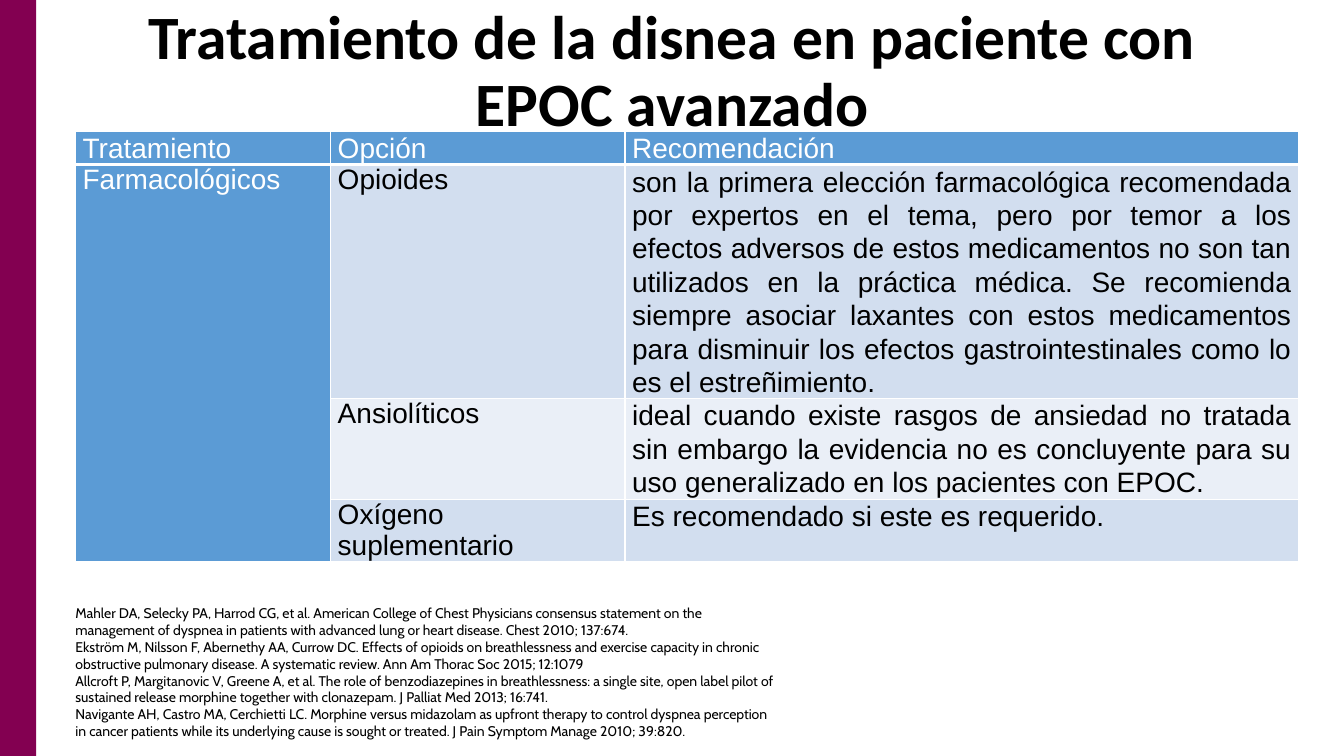
from pptx import Presentation
from pptx.dml.color import RGBColor
from pptx.enum.shapes import MSO_SHAPE
from pptx.enum.text import MSO_ANCHOR, MSO_AUTO_SIZE, PP_ALIGN
from pptx.oxml import parse_xml
from pptx.oxml.ns import nsdecls
from pptx.util import Inches, Pt

WINE = RGBColor(0x83, 0x00, 0x51)
BLUE = RGBColor(0x5B, 0x9B, 0xD5)
BAND = RGBColor(0xD2, 0xDE, 0xEF)
PALE = RGBColor(0xEA, 0xEF, 0xF7)
WHITE = RGBColor(0xFF, 0xFF, 0xFF)
BLACK = RGBColor(0x00, 0x00, 0x00)

TITLE = "Tratamiento de la disnea en paciente con EPOC avanzado"
COLS = [2.53, 2.92, 6.68]
HEIGHTS = [0.32, 2.31, 1.0, 0.61]
ROWS = [
    ["Tratamiento", "Opción", "Recomendación"],
    ["Farmacológicos", "Opioides",
     "son la primera elección farmacológica recomendada por expertos en el "
     "tema, pero por temor a los efectos adversos de estos medicamentos no "
     "son tan utilizados en la práctica médica. Se recomienda siempre asociar "
     "laxantes con estos medicamentos para disminuir los efectos "
     "gastrointestinales como lo es el estreñimiento."],
    ["", "Ansiolíticos",
     "ideal cuando existe rasgos de ansiedad no tratada sin embargo la "
     "evidencia no es concluyente para su uso generalizado en los pacientes "
     "con EPOC."],
    ["", "Oxígeno suplementario", "Es recomendado si este es requerido."],
]
SOURCES = [
    "Mahler DA, Selecky PA, Harrod CG, et al. American College of Chest "
    "Physicians consensus statement on the management of dyspnea in patients "
    "with advanced lung or heart disease. Chest 2010; 137:674.",
    "Ekström M, Nilsson F, Abernethy AA, Currow DC. Effects of opioids on "
    "breathlessness and exercise capacity in chronic obstructive pulmonary "
    "disease. A systematic review. Ann Am Thorac Soc 2015; 12:1079",
    "Allcroft P, Margitanovic V, Greene A, et al. The role of benzodiazepines "
    "in breathlessness: a single site, open label pilot of sustained release "
    "morphine together with clonazepam. J Palliat Med 2013; 16:741.",
    "Navigante AH, Castro MA, Cerchietti LC. Morphine versus midazolam as "
    "upfront therapy to control dyspnea perception in cancer patients while "
    "its underlying cause is sought or treated. J Pain Symptom Manage 2010; "
    "39:820.",
]


class Board:
    """Style and current slide."""
    head_font, cell_font, note_font = "Calibri", "Arial", "Cabin"

    def __init__(self, slide):
        self.slide = slide

    def style(self, frame, font, size, color=BLACK, bold=False,
              align=PP_ALIGN.LEFT, spacing=1.0):
        for para in frame.paragraphs:
            para.alignment = align
            para.line_spacing = spacing
            for run in para.runs:
                run.font.name = font
                run.font.size = Pt(size)
                run.font.bold = bold
                run.font.color.rgb = color

    def bar(self, box, color):
        shape = self.slide.shapes.add_shape(
            MSO_SHAPE.RECTANGLE, *map(Inches, box))
        shape.shadow.inherit = False
        shape.fill.solid()
        shape.fill.fore_color.rgb = color
        shape.line.fill.background()

    def text(self, box, text, font, size, anchor=MSO_ANCHOR.TOP, **look):
        frame = self.slide.shapes.add_textbox(*map(Inches, box)).text_frame
        frame.word_wrap = True
        frame.auto_size = MSO_AUTO_SIZE.NONE
        frame.vertical_anchor = anchor
        frame.text = text
        self.style(frame, font, size, **look)

    def border(self, cell, low):
        props = cell._tc.get_or_add_tcPr()
        for side, width in zip("LRTB", (1, 1, 1, low)):
            props.append(parse_xml(
                f'<a:ln{side} {nsdecls("a")} w="{Pt(width)}"><a:solidFill>'
                f'<a:srgbClr val="{WHITE}"/></a:solidFill></a:ln{side}>'))

    def table(self, left, top, cols, heights, rows):
        box = (left, top, sum(cols), sum(heights))
        grid = self.slide.shapes.add_table(
            len(rows), len(cols), *map(Inches, box)).table
        grid.first_row = grid.horz_banding = False
        for col, width in zip(grid.columns, cols):
            col.width = Inches(width)
        for row, height in zip(grid.rows, heights):
            row.height = Inches(height)
        # One drug group spans every row below the header
        grid.cell(1, 0).merge(grid.cell(len(rows) - 1, 0))
        for r, row in enumerate(rows):
            for c, words in enumerate(row):
                cell = grid.cell(r, c)
                if not cell.is_spanned:
                    self.cell(cell, r, c, words)

    def cell(self, cell, r, c, words):
        dark = r == 0 or c == 0
        cell.margin_left = cell.margin_right = Inches(0.07)
        cell.margin_top = cell.margin_bottom = 0
        self.border(cell, 3 if r == 0 else 1)
        cell.fill.solid()
        cell.fill.fore_color.rgb = BLUE if dark else BAND if r % 2 else PALE
        cell.text_frame.text = words
        self.style(cell.text_frame, self.cell_font, 20,
                   color=WHITE if dark else BLACK, align=PP_ALIGN.JUSTIFY,
                   spacing=1.07 if r == 0 or c == 2 else 1.0)


def main():
    deck = Presentation()
    deck.slide_width, deck.slide_height = Inches(13.33), Inches(7.5)
    board = Board(deck.slides.add_slide(deck.slide_layouts[6]))

    # Side band and title
    board.bar((0, 0, 0.36, 7.5), WINE)
    board.text((0.92, 0, 11.5, 1.45), TITLE, board.head_font, 44,
               anchor=MSO_ANCHOR.MIDDLE, bold=True, align=PP_ALIGN.CENTER,
               spacing=0.9)

    # Treatment table
    board.table(0.75, 1.3, COLS, HEIGHTS, ROWS)

    # References
    board.text((0.65, 5.95, 7.13, 1.45), "\n".join(SOURCES),
               board.note_font, 10)
    deck.save("out.pptx")


if __name__ == "__main__":
    main()
